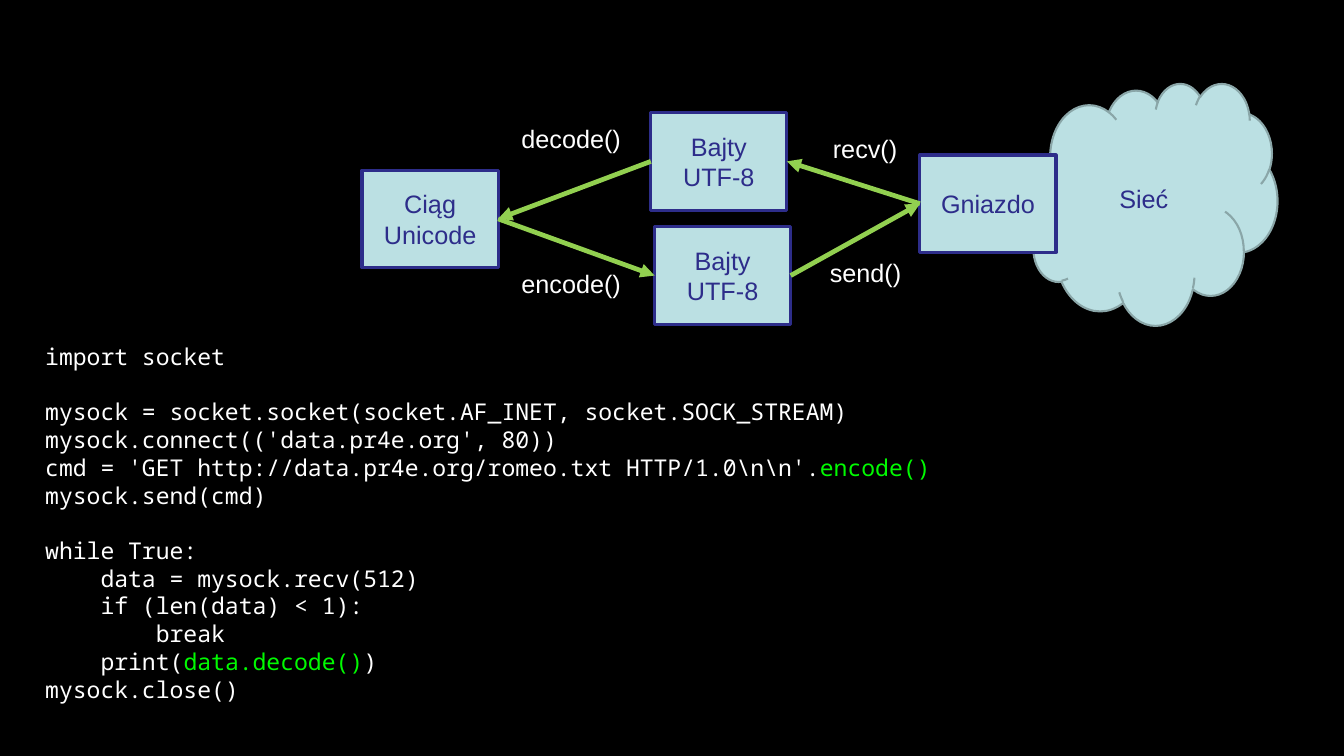
"""Build a slide on encoding and decoding text sent through a network socket."""
from lxml.etree import SubElement
from pptx import Presentation
from pptx.dml.color import RGBColor as RGB
from pptx.enum.shapes import MSO_CONNECTOR as CONNECTOR, MSO_SHAPE as SHAPE
from pptx.enum.text import MSO_ANCHOR as ANCHOR, MSO_AUTO_SIZE as AUTO_SIZE, PP_ALIGN as ALIGN
from pptx.oxml.ns import qn
from pptx.util import Inches, Pt

COLORS = {
    "background": "000000",
    "text": "FFFFFF",
    "accent": "00FA00",
    "fill": "BBE0E3",
    "navy": "2D2D8A",
    "cloud_line": "8AA6A8",
    "arrow": "92D050",
}
LEFT, RIGHT = 1, 3


def write(frame, text, size=24, font="Arial", color="text", align=ALIGN.LEFT,
          anchor=ANCHOR.TOP, wrap=True, spacing=1.2):
    """Write lines of text; a blank line becomes a gap and | switches the accent colour."""
    frame.word_wrap = wrap
    frame.vertical_anchor = anchor
    line_height = Pt(size * spacing)
    gap = False
    para = frame.paragraphs[0]
    for number, line in enumerate(text.split("\n")):
        if not line:
            gap = True
            continue
        if number:
            para = frame.add_paragraph()
        para.alignment = align
        para.line_spacing = line_height
        if gap:
            para.space_before = line_height
        gap = False
        for part, words in enumerate(line.split("|")):
            if words:
                span = para.add_run()
                span.text = words
                span.font.size = Pt(size)
                span.font.name = font
                span.font.color.rgb = RGB.from_string(COLORS["accent" if part % 2 else color])


deck = Presentation()
deck.slide_width, deck.slide_height = Inches(17.78), Inches(10)
page = deck.slides.add_slide(deck.slide_layouts[6])
page.background.fill.solid()
page.background.fill.fore_color.rgb = RGB.from_string(COLORS["background"])

nodes = {}
for name, kind, text, left, top, width, height, line, weight in [
    ("network", SHAPE.CLOUD, "Sieć", 13.6, 1.1, 3.3, 3.2, "cloud_line", 2),
    ("socket", SHAPE.RECTANGLE, "Gniazdo", 12.17, 2.05, 1.8, 1.29, "navy", 3),
    ("received", SHAPE.RECTANGLE, "Bajty\nUTF-8", 8.61, 1.49, 1.8, 1.29, "navy", 3),
    ("string", SHAPE.RECTANGLE, "Ciąg\nUnicode", 4.79, 2.25, 1.8, 1.29, "navy", 3),
    ("sent", SHAPE.RECTANGLE, "Bajty\nUTF-8", 8.66, 3, 1.8, 1.29, "navy", 3),
]:
    node = page.shapes.add_shape(kind, Inches(left), Inches(top), Inches(width), Inches(height))
    node.shadow.inherit = False
    node.fill.solid()
    node.fill.fore_color.rgb = RGB.from_string(COLORS["fill"])
    node.line.color.rgb = RGB.from_string(COLORS[line])
    node.line.width = Pt(weight)
    write(node.text_frame, text, color="navy", align=ALIGN.CENTER, anchor=ANCHOR.MIDDLE)
    nodes[name] = node

for source, source_side, target, target_side in [
    ("string", RIGHT, "sent", LEFT),
    ("socket", LEFT, "received", RIGHT),
    ("sent", RIGHT, "socket", LEFT),
    ("received", LEFT, "string", RIGHT),
]:
    arrow = page.shapes.add_connector(CONNECTOR.STRAIGHT, 0, 0, 0, 0)
    arrow.begin_connect(nodes[source], source_side)
    arrow.end_connect(nodes[target], target_side)
    arrow.line.color.rgb = RGB.from_string(COLORS["arrow"])
    arrow.line.width = Pt(4.5)
    SubElement(arrow.line._get_or_add_ln(), qn("a:tailEnd"), type="triangle")
    SubElement(arrow._element.spPr, qn("a:effectLst"))

for text, left, top, width in [
    ("recv()", 10.92, 1.72, 1.06),
    ("decode()", 6.8, 1.58, 1.53),
    ("encode()", 6.8, 3.5, 1.53),
    ("send()", 10.88, 3.36, 1.16),
]:
    box = page.shapes.add_textbox(Inches(left), Inches(top), Inches(width), Inches(0.5))
    write(box.text_frame, text, wrap=False)
    box.text_frame.auto_size = AUTO_SIZE.SHAPE_TO_FIT_TEXT

code = r"""import socket

mysock = socket.socket(socket.AF_INET, socket.SOCK_STREAM)
mysock.connect(('data.pr4e.org', 80))
cmd = 'GET http://data.pr4e.org/romeo.txt HTTP/1.0\n\n'.|encode()|
mysock.send(cmd)

while True:
    data = mysock.recv(512)
    if (len(data) < 1):
        break
    print(|data.decode()|)
mysock.close()"""
box = page.shapes.add_textbox(Inches(0.5), Inches(4.48), Inches(12.44), Inches(4.91))
write(box.text_frame, code, size=22, font="Noto Sans Mono")
box.text_frame.auto_size = AUTO_SIZE.SHAPE_TO_FIT_TEXT

deck.save("out.pptx")
